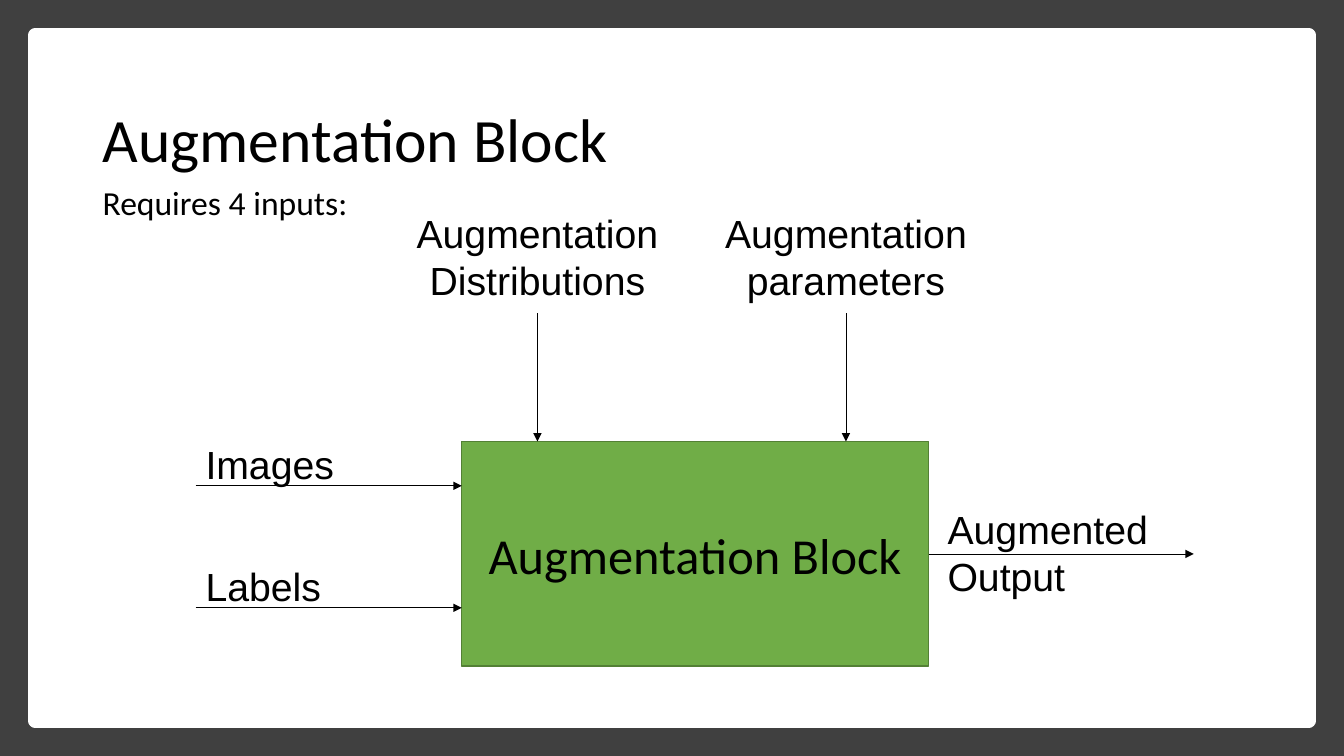
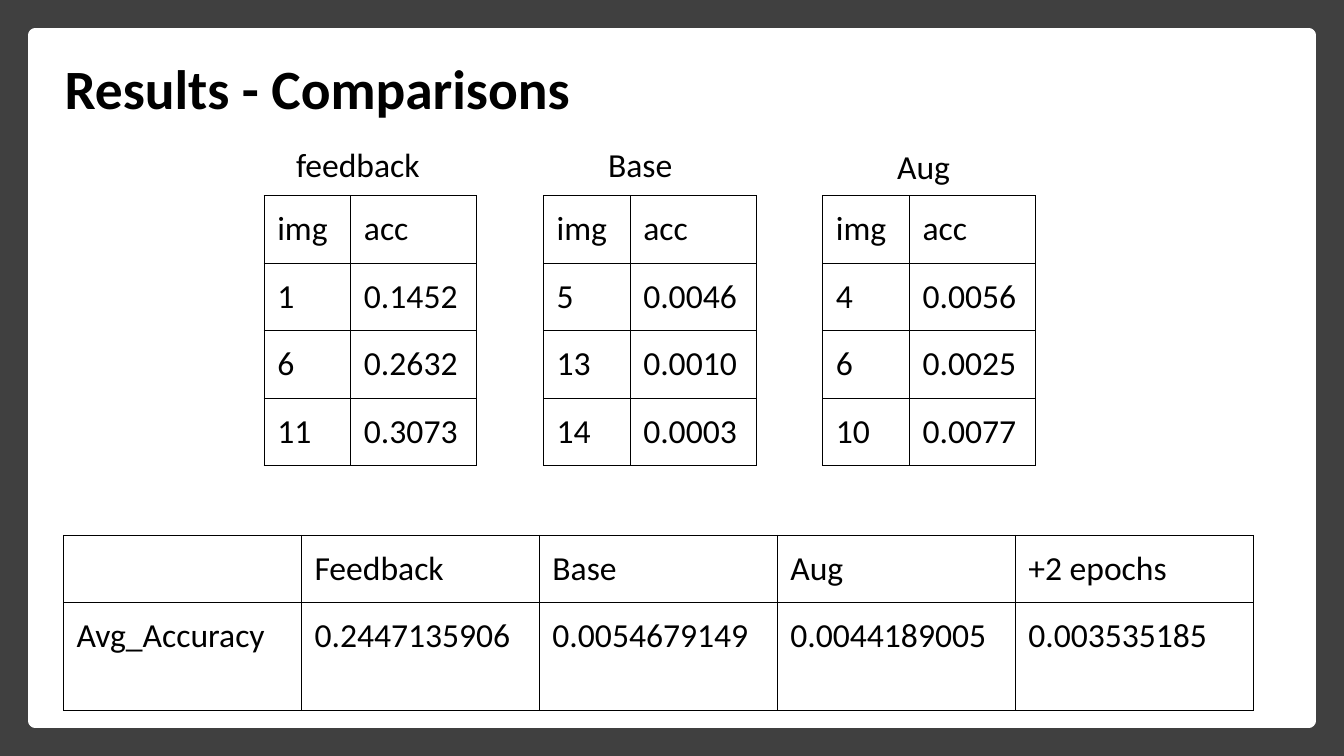
import pptx
import pptx.dml.color
import pptx.enum.shapes
import pptx.enum.text
import pptx.oxml.ns
import pptx.util
from lxml import etree

Inches = pptx.util.Inches
Pt = pptx.util.Pt
ALIGN = pptx.enum.text.PP_ALIGN
ANCHOR = pptx.enum.text.MSO_ANCHOR
RECT = pptx.enum.shapes.MSO_SHAPE.RECTANGLE
STRAIGHT = pptx.enum.shapes.MSO_CONNECTOR.STRAIGHT
qn = pptx.oxml.ns.qn

COLORS = {
    "frame": "404040",
    "paper": "FFFFFF",
    "ink": "000000",
    "block": "70AD47",
    "block_edge": "538035",
}
WIDTH, HEIGHT = 13.33, 7.5
INSET = 0.13


def rgb(name):
    return pptx.dml.color.RGBColor.from_string(COLORS[name])


class Deck:
    """Holds the shared style and the slide being built."""

    def __init__(self):
        self.prs = pptx.Presentation()
        self.prs.slide_width = Inches(WIDTH)
        self.prs.slide_height = Inches(HEIGHT)
        self.s = None

    def slide(self):
        self.s = self.prs.slides.add_slide(self.prs.slide_layouts[6])
        self.box(0, 0, WIDTH, HEIGHT, "frame")
        self.box(0.35, 0.35, 12.63, 6.8, "paper", "paper", 10)

    def box(self, x, y, w, h, fill, line=None, weight=1):
        sp = self.s.shapes.add_shape(RECT, Inches(x), Inches(y), Inches(w), Inches(h))
        sp.shadow.inherit = False
        sp.fill.solid()
        sp.fill.fore_color.rgb = rgb(fill)
        if line:
            sp.line.color.rgb = rgb(line)
            sp.line.width = Pt(weight)
        else:
            sp.line.fill.background()
        return sp

    def add_lines(self, tf, lines, size, font="Calibri", bold=False, align=ALIGN.LEFT,
                  spacing=None):
        for i, line in enumerate(lines):
            p = tf.add_paragraph() if i else tf.paragraphs[0]
            p.alignment = align
            if spacing:
                p.line_spacing = spacing
            r = p.add_run()
            r.text = line
            r.font.size = Pt(size)
            r.font.name = font
            r.font.bold = bold
            r.font.color.rgb = rgb("ink")

    def text(self, x, y, w, h, *lines, size=28, inset=None, anchor=ANCHOR.TOP, **style):
        sp = self.s.shapes.add_textbox(Inches(x), Inches(y), Inches(w), Inches(h))
        tf = sp.text_frame
        tf.word_wrap = True
        tf.vertical_anchor = anchor
        if inset is not None:
            tf.margin_left = tf.margin_right = Inches(inset)
            tf.margin_top = tf.margin_bottom = Inches(inset)
        self.add_lines(tf, lines, size, **style)

    def title(self, x, y, w, h, title, size=44, **style):
        self.text(x, y, w, h, title, size=size, spacing=0.9, **style)

    def label(self, x, y, w, h, *lines, align=ALIGN.LEFT):
        self.text(x, y, w, h, *lines, font="Arial", align=align)

    def arrow(self, x1, y1, x2, y2):
        cn = self.s.shapes.add_connector(
            STRAIGHT, Inches(x1), Inches(y1), Inches(x2), Inches(y2))
        cn.line.color.rgb = rgb("ink")
        cn.line.width = Pt(0.5)
        spPr = cn.element.spPr
        etree.SubElement(spPr.find(qn("a:ln")), qn("a:tailEnd"), type="triangle")
        etree.SubElement(spPr, qn("a:effectLst"))
        return cn

    def border(self, cell):
        tcPr = cell._tc.get_or_add_tcPr()
        for side in ("a:lnL", "a:lnR", "a:lnT", "a:lnB"):
            ln = etree.SubElement(tcPr, qn(side), w=str(Pt(0.75)))
            fill = etree.SubElement(ln, qn("a:solidFill"))
            etree.SubElement(fill, qn("a:srgbClr"), val=COLORS["ink"])

    def table(self, x, y, cols, heights, rows):
        frame = self.s.shapes.add_table(
            len(rows), len(cols), Inches(x), Inches(y),
            Inches(sum(cols)), Inches(sum(heights)))
        table = frame.table
        table.first_row = table.horz_banding = False
        for col, width in zip(table.columns, cols):
            col.width = Inches(width)
        for row, height, values in zip(table.rows, heights, rows):
            row.height = Inches(height)
            for cell, value in zip(row.cells, values):
                cell.margin_left = cell.margin_right = Inches(INSET)
                cell.margin_top = cell.margin_bottom = Inches(INSET)
                self.border(cell)
                cell.fill.background()
                if value:
                    self.add_lines(cell.text_frame, [value], 24)


def augmentation_slide(deck):
    deck.slide()
    deck.title(0.92, 0.69, 11.5, 1.45, "Augmentation Block", anchor=ANCHOR.MIDDLE)
    deck.text(0.92, 1.8, 11.5, 4.23, "Requires 4 inputs:", size=24, spacing=0.9)

    left, top, width, height = 4.58, 4.38, 4.63, 2.23
    block = deck.box(left, top, width, height, "block", "block_edge")
    block.text_frame.word_wrap = True
    block.text_frame.vertical_anchor = ANCHOR.MIDDLE
    deck.add_lines(block.text_frame, ["Augmentation Block"], 36, align=ALIGN.CENTER)

    for name, y, label_y in (("Images", 4.82, 4.32), ("Labels", 6.03, 5.53)):
        deck.arrow(1.94, y, left, y)
        deck.label(1.94, label_y, 6.67, 0.57, name)

    for name, center, w in (("Augmentation Distributions", 5.33, 3.54),
                            ("Augmentation parameters", 8.39, 2.94)):
        deck.arrow(center, 3.11, center, top)
        deck.label(center - w / 2, 2.03, w, 1.04, name, align=ALIGN.CENTER)

    middle = top + height / 2
    output = deck.arrow(left + width, middle, 11.84, middle)
    output.begin_connect(block, 3)
    deck.label(9.3, 4.96, 3.43, 1.04, "Augmented", "Output")


def results_slide(deck):
    deck.slide()
    deck.title(0.51, 0.48, 12.42, 0.84, "Results - Comparisons", size=39.6,
               bold=True, inset=INSET)

    results = (
        ("feedback", 3.55, 1.3, [("1", "0.1452"), ("6", "0.2632"), ("11", "0.3073")]),
        ("Base", 6.35, 1.3, [("5", "0.0046"), ("13", "0.0010"), ("14", "0.0003")]),
        ("Aug", 9.16, 1.32, [("4", "0.0056"), ("6", "0.0025"), ("10", "0.0077")]),
    )
    for i, (name, center, y, rows) in enumerate(results):
        deck.table(2.62 + 2.77 * i, 1.94, [0.86, 1.25], [0.67] * 4,
                   [("img", "acc")] + rows)
        deck.text(center - 0.85, y, 1.7, 0.67, name, size=24, inset=INSET,
                  align=ALIGN.CENTER)

    deck.table(0.63, 5.31, [2.36] * 5, [0.67, 1.07], [
        ("", "Feedback", "Base", "Aug", "+2 epochs"),
        ("Avg_Accuracy", "0.2447135906", "0.0054679149", "0.0044189005", "0.003535185"),
    ])


def main():
    deck = Deck()
    augmentation_slide(deck)
    results_slide(deck)
    deck.prs.save("out.pptx")


if __name__ == "__main__":
    main()
